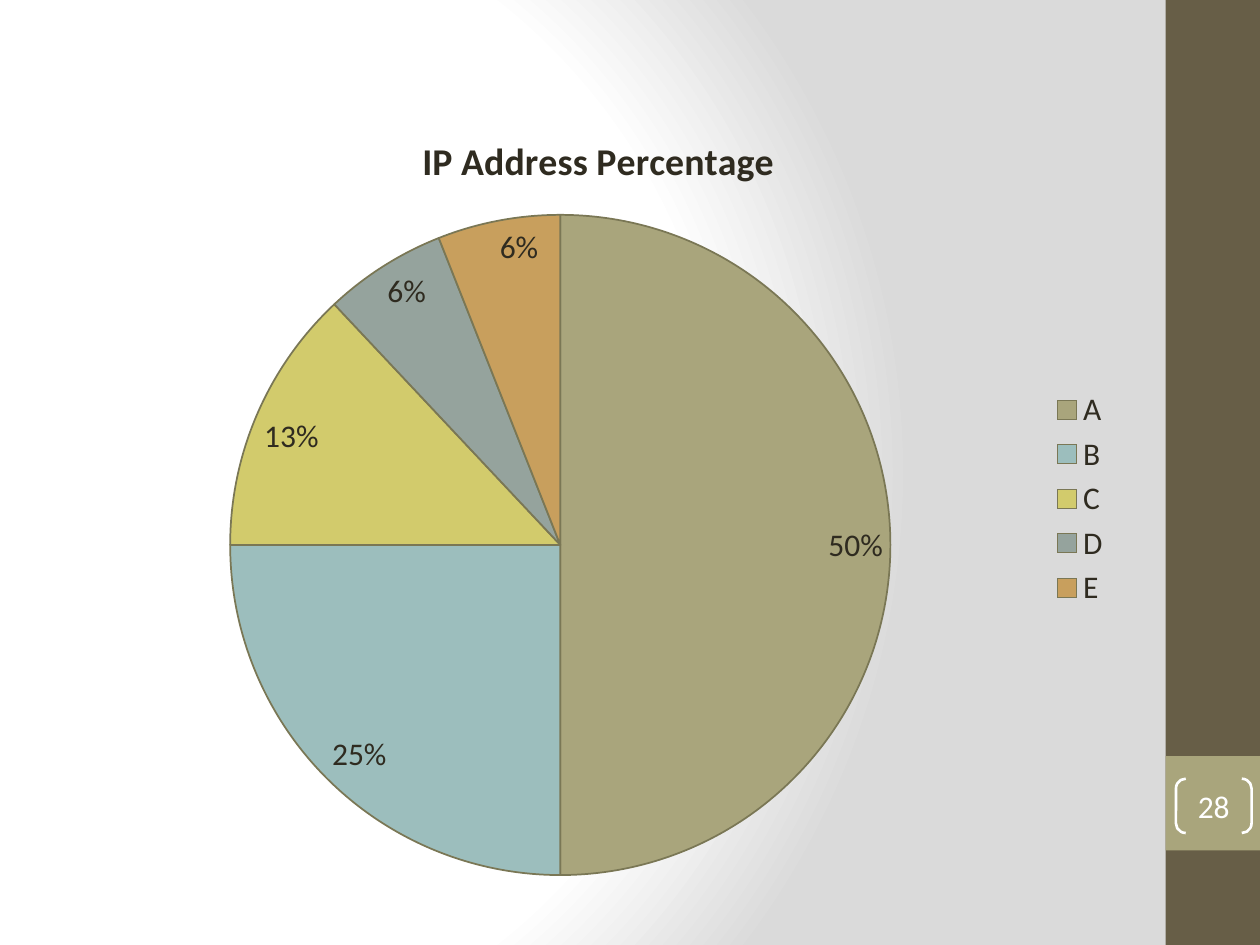
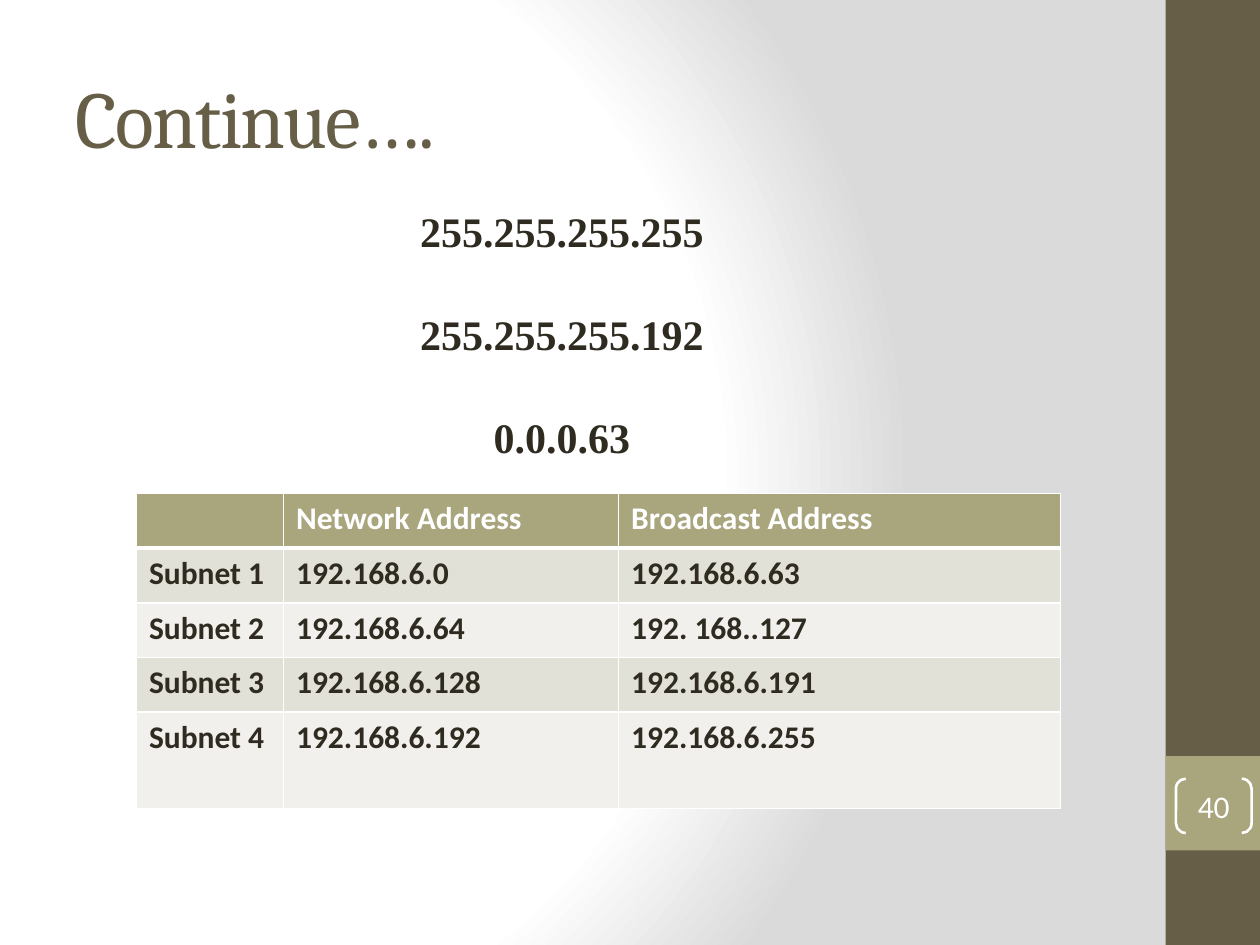
from dataclasses import dataclass

from lxml import etree
from pptx import Presentation
from pptx.chart.data import CategoryChartData
from pptx.dml.color import RGBColor
from pptx.enum.chart import XL_CHART_TYPE, XL_LABEL_POSITION as LABEL_AT, XL_LEGEND_POSITION as LEGEND_AT
from pptx.enum.shapes import MSO_SHAPE
from pptx.enum.text import MSO_ANCHOR, PP_ALIGN
from pptx.oxml import parse_xml
from pptx.oxml.ns import nsdecls, qn
from pptx.util import Pt


@dataclass(frozen=True)
class Theme:
    ink: str = "2F2B20"
    brown: str = "675E47"
    olive: str = "A9A57C"
    white: str = "FFFFFF"
    gray: str = "DADADA"
    outline: str = "7A7755"
    stripes: tuple = ("E2E1D7", "F1F0EC")
    slices: tuple = ("A9A57C", "9CBEBD", "D2CB6C", "95A39D", "C89F5D")
    heading: str = "Cambria"
    body: str = "Calibri"
    mask: str = "Times New Roman"
    title_size: float = 46
    mask_size: float = 24
    chart_title_size: float = 21.6
    body_size: float = 18


theme = Theme()


def set_font(font, size, color, **format_values):
    font.size = Pt(size)
    font.color.rgb = RGBColor.from_string(color)
    for name, value in format_values.items():
        setattr(font, name, value)


def set_borders(cell, widths):
    """Draw white borders; widths maps a side (L, R, T, B) to points."""
    properties = cell._tc.get_or_add_tcPr()
    for index, (side, width) in enumerate(widths.items()):
        properties.insert(index, parse_xml(
            f'<a:ln{side} {nsdecls("a")} w="{Pt(width)}"><a:solidFill>'
            f'<a:srgbClr val="{theme.white}"/></a:solidFill></a:ln{side}>'))


deck = Presentation()
deck.slide_width, deck.slide_height = Pt(720), Pt(540)

# Shared background: a round glow from the left
background_fill = deck.slide_master.background.fill
background_fill.gradient()
gradient = deck.slide_master.element.find(".//" + qn("a:gradFill"))
for child in list(gradient):
    gradient.remove(child)
stops = etree.SubElement(gradient, qn("a:gsLst"))
for percent, color in ((0, theme.white), (75, theme.white), (100, theme.gray)):
    stop = etree.SubElement(stops, qn("a:gs"), pos=str(percent * 1000))
    etree.SubElement(stop, qn("a:srgbClr"), val=color)
glow = etree.SubElement(gradient, qn("a:path"), path="circle")
etree.SubElement(glow, qn("a:fillToRect"), l="20000", t="50000", r="100000", b="50000")

# Slides with their side bands and page numbers
TITLE_ONLY, BLANK = 5, 6
slides = []
for layout, page in ((BLANK, "28"), (TITLE_ONLY, "40")):
    slide = deck.slides.add_slide(deck.slide_layouts[layout])
    slides.append(slide)
    for top, height, color in ((0, 540, theme.brown), (432, 54, theme.olive)):
        band = slide.shapes.add_shape(MSO_SHAPE.RECTANGLE, Pt(666), Pt(top), Pt(54), Pt(height))
        band.shadow.inherit = False
        band.fill.solid()
        band.fill.fore_color.rgb = RGBColor.from_string(color)
        band.line.fill.background()

    bracket = slide.shapes.add_shape(MSO_SHAPE.DOUBLE_BRACKET, Pt(672), Pt(445), Pt(43.2), Pt(31))
    bracket.adjustments[0] = 0.18
    bracket.shadow.inherit = False
    bracket.fill.background()
    bracket.line.color.rgb = RGBColor.from_string(theme.white)
    bracket.line.width = Pt(1.5)
    number = bracket.text_frame
    for name, value in {"margin_left": 0, "margin_right": 0, "margin_top": 0,
                        "margin_bottom": 0, "vertical_anchor": MSO_ANCHOR.MIDDLE}.items():
        setattr(number, name, value)
    number.text = page
    number.paragraphs[0].alignment = PP_ALIGN.CENTER
    set_font(number.paragraphs[0].runs[0].font, theme.body_size, theme.white, name=theme.body)

share_slide, subnet_slide = slides

# Address share by class
shares = CategoryChartData()
shares.categories = list("ABCDE")
shares.add_series("IP Address Percentage", (50, 25, 13, 6, 6))
pie = share_slide.shapes.add_chart(
    XL_CHART_TYPE.PIE, Pt(42), Pt(60), Pt(600), Pt(450), shares).chart
set_font(pie.font, theme.body_size, theme.ink, name=theme.body)
pie.has_title = True
pie.chart_title.text_frame.text = "IP Address Percentage"
set_font(pie.chart_title.text_frame.paragraphs[0].runs[0].font,
         theme.chart_title_size, theme.ink, name=theme.body, bold=True)
pie.has_legend = True
pie.legend.position = LEGEND_AT.RIGHT
pie.legend.include_in_layout = False

plot = pie.plots[0]
plot.vary_by_categories = True
plot.has_data_labels = True
for name, value in {"show_percentage": True, "show_value": False, "number_format": "0%",
                    "number_format_is_linked": False, "position": LABEL_AT.INSIDE_END}.items():
    setattr(plot.data_labels, name, value)
set_font(plot.data_labels.font, theme.body_size, theme.ink, name=theme.body)
for index, color in enumerate(theme.slices):
    piece = plot.series[0].points[index].format
    piece.fill.solid()
    piece.fill.fore_color.rgb = RGBColor.from_string(color)
    piece.line.color.rgb = RGBColor.from_string(theme.outline)
    piece.line.width = Pt(1)

# Subnet title
title = subnet_slide.shapes.title
for name, value in {"left": 36, "top": 21.6, "width": 600, "height": 90}.items():
    setattr(title, name, Pt(value))
title.text_frame.text = "Continue…."
title.text_frame.vertical_anchor = MSO_ANCHOR.MIDDLE
heading = title.text_frame.paragraphs[0]
heading.alignment = PP_ALIGN.LEFT
set_font(heading.runs[0].font, theme.title_size, theme.brown, name=theme.heading)
heading.runs[0]._r.get_or_add_rPr().set("spc", "-100")

# Subnet addresses
header = ("", "Network Address", "Broadcast Address")
subnets = (
    ("Subnet 1", "192.168.6.0", "192.168.6.63"),
    ("Subnet 2", "192.168.6.64", "192. 168..127"),
    ("Subnet 3", "192.168.6.128", "192.168.6.191"),
    ("Subnet 4", "192.168.6.192", "192.168.6.255"),
)
addresses = subnet_slide.shapes.add_table(
    len(subnets) + 1, len(header), Pt(78), Pt(282), Pt(528), Pt(180)).table
for column, width in zip(addresses.columns, (84, 191.5, 252.5)):
    column.width = Pt(width)
for row, height in zip(addresses.rows, (31.25,) * 4 + (55,)):
    row.height = Pt(height)
for row_index, row in enumerate((header, *subnets)):
    is_header = row_index == 0
    fill = theme.olive if is_header else theme.stripes[(row_index - 1) % 2]
    for column_index, text in enumerate(row):
        cell = addresses.cell(row_index, column_index)
        cell.fill.solid()
        cell.fill.fore_color.rgb = RGBColor.from_string(fill)
        set_borders(cell, {"L": 1, "R": 1, "T": 3 if row_index == 1 else 1,
                           "B": 3 if is_header else 1})
        cell.text = text
        set_font(cell.text_frame.paragraphs[0].font, theme.body_size,
                 theme.white if is_header else theme.ink, name=theme.body, bold=True)

# Wildcard mask subtraction
masks = subnet_slide.shapes.add_textbox(Pt(150), Pt(114), Pt(342), Pt(152.6)).text_frame
masks.word_wrap = True
masks.text = "255.255.255.255\n255.255.255.192\n0.0.0.63"
for index, line in enumerate(masks.paragraphs):
    line.alignment = PP_ALIGN.CENTER
    if index:
        line.space_before = Pt(30)
    set_font(line.runs[0].font, theme.mask_size, theme.ink, name=theme.mask, bold=True)

deck.save("out.pptx")
